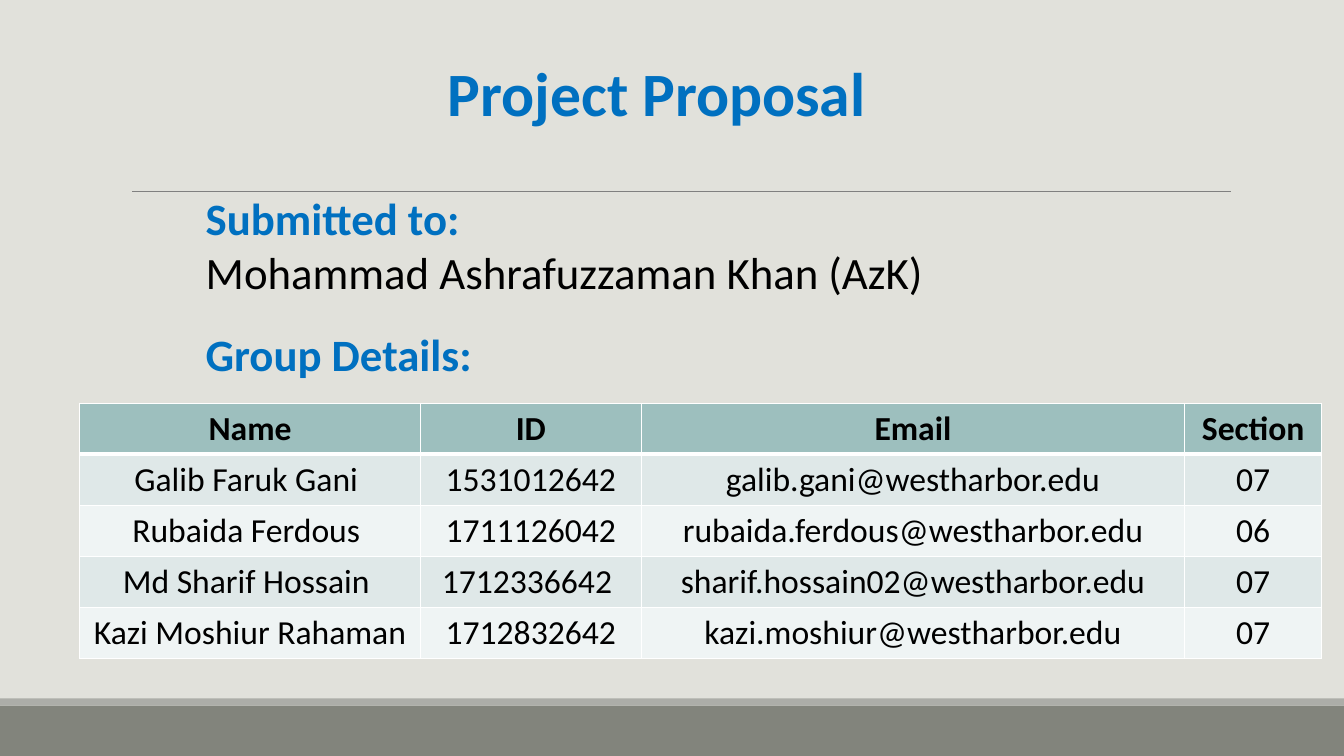
from lxml.etree import SubElement
from pptx import Presentation
from pptx.dml.color import RGBColor
from pptx.enum.shapes import MSO_CONNECTOR, MSO_SHAPE
from pptx.enum.text import MSO_ANCHOR, MSO_AUTO_SIZE, PP_ALIGN
from pptx.oxml.ns import qn
from pptx.util import Inches, Pt

COLORS = {
    "background": "E1E1DB",
    "footer": "82847C",
    "footer_edge": "ACADA8",
    "rule": "808080",
    "heading": "0070C0",
    "text": "000000",
    "header_row": "9DBFBE",
    "odd_row": "DFE8E8",
    "even_row": "EFF4F4",
    "border": "FFFFFF",
}
FONT = "Calibri"
COLUMN_WIDTHS = [3.38, 2.19, 5.39, 1.36]
ROW_HEIGHT = 0.5
MEMBERS = [
    ["Name", "ID", "Email", "Section"],
    ["Galib Faruk Gani ", "1531012642", "galib.gani@westharbor.edu", "07"],
    ["Rubaida Ferdous ", "1711126042", "rubaida.ferdous@westharbor.edu", "06"],
    ["Md Sharif Hossain ", "1712336642 ", "sharif.hossain02@westharbor.edu", "07"],
    ["Kazi Moshiur Rahaman", "1712832642", "kazi.moshiur@westharbor.edu", "07"],
]


def rgb(name):
    return RGBColor.from_string(COLORS[name])


def place(shape, left, top, width, height):
    shape.left, shape.top = Inches(left), Inches(top)
    shape.width, shape.height = Inches(width), Inches(height)


def format_paragraph(paragraph, size, color, bold, align):
    paragraph.alignment = align
    paragraph.space_before = Pt(0)
    for run in paragraph.runs:
        run.font.name = FONT
        run.font.size = Pt(size)
        run.font.bold = bold
        run.font.color.rgb = rgb(color)


def remove_bullet(paragraph):
    properties = paragraph._p.get_or_add_pPr()
    properties.set("marL", "0")
    properties.set("indent", "0")
    SubElement(properties, qn("a:buNone"))


def fill_frame(shape, text, anchor=MSO_ANCHOR.TOP):
    frame = shape.text_frame
    frame.text = text
    frame.word_wrap = False
    frame.auto_size = MSO_AUTO_SIZE.NONE
    frame.vertical_anchor = anchor
    return frame.paragraphs


def add_band(slide, top, height, color):
    band = slide.shapes.add_shape(
        MSO_SHAPE.RECTANGLE, 0, Inches(top), Inches(13.33), Inches(height))
    band.shadow.inherit = False
    band.fill.solid()
    band.fill.fore_color.rgb = rgb(color)
    band.line.fill.background()


def add_rule(slide, left, right, y):
    rule = slide.shapes.add_connector(
        MSO_CONNECTOR.STRAIGHT, Inches(left), Inches(y), Inches(right), Inches(y))
    rule.line.color.rgb = rgb("rule")
    rule.line.width = Pt(0.5)
    SubElement(rule._element.spPr, qn("a:effectLst"))


def add_border(cell, side, width):
    edge = SubElement(cell._tc.get_or_add_tcPr(), qn(f"a:ln{side}"), w=str(Pt(width)))
    SubElement(SubElement(edge, qn("a:solidFill")), qn("a:srgbClr"), val=COLORS["border"])


def row_color(row):
    if row == 0:
        return "header_row"
    return "odd_row" if row % 2 else "even_row"


def format_cell(cell, text, row):
    cell.text = text
    format_paragraph(cell.text_frame.paragraphs[0], 24, "text", row == 0, PP_ALIGN.CENTER)
    thick_side = {0: "B", 1: "T"}.get(row)
    for side in "LRTB":
        add_border(cell, side, 3 if side == thick_side else 1)
    cell.fill.solid()
    cell.fill.fore_color.rgb = rgb(row_color(row))


def add_member_table(slide, left, top):
    table = slide.shapes.add_table(
        len(MEMBERS), len(COLUMN_WIDTHS), Inches(left), Inches(top),
        Inches(sum(COLUMN_WIDTHS)), Inches(ROW_HEIGHT * len(MEMBERS))).table
    for column, width in zip(table.columns, COLUMN_WIDTHS):
        column.width = Inches(width)
    for row, member in enumerate(MEMBERS):
        for column, text in enumerate(member):
            format_cell(table.cell(row, column), text, row)


def main():
    deck = Presentation()
    deck.slide_width, deck.slide_height = Inches(13.33), Inches(7.5)
    slide = deck.slides.add_slide(deck.slide_layouts[1])
    slide.background.fill.solid()
    slide.background.fill.fore_color.rgb = rgb("background")

    add_band(slide, 7, 0.5, "footer")
    add_band(slide, 6.93, 0.07, "footer_edge")
    add_rule(slide, 1.31, 12.21, 1.9)

    title = slide.shapes.title
    place(title, 4.32, 0.49, 4.39, 0.84)
    heading = fill_frame(title, "Project Proposal", MSO_ANCHOR.MIDDLE)[0]
    format_paragraph(heading, 44, "heading", True, PP_ALIGN.CENTER)

    submission = slide.placeholders[1]
    place(submission, 1.94, 1.84, 7.39, 1.18)
    label, recipient = fill_frame(
        submission, "Submitted to:\nMohammad Ashrafuzzaman Khan (AzK)")
    format_paragraph(label, 32, "heading", True, PP_ALIGN.LEFT)
    format_paragraph(recipient, 32, "text", False, PP_ALIGN.LEFT)
    for paragraph in (label, recipient):
        remove_bullet(paragraph)

    group = slide.shapes.add_textbox(
        Inches(1.94), Inches(3.19), Inches(2.87), Inches(0.64))
    group_label = fill_frame(group, "Group Details:")[0]
    format_paragraph(group_label, 32, "heading", True, PP_ALIGN.LEFT)

    add_member_table(slide, 0.79, 4)
    deck.save("out.pptx")


main()
